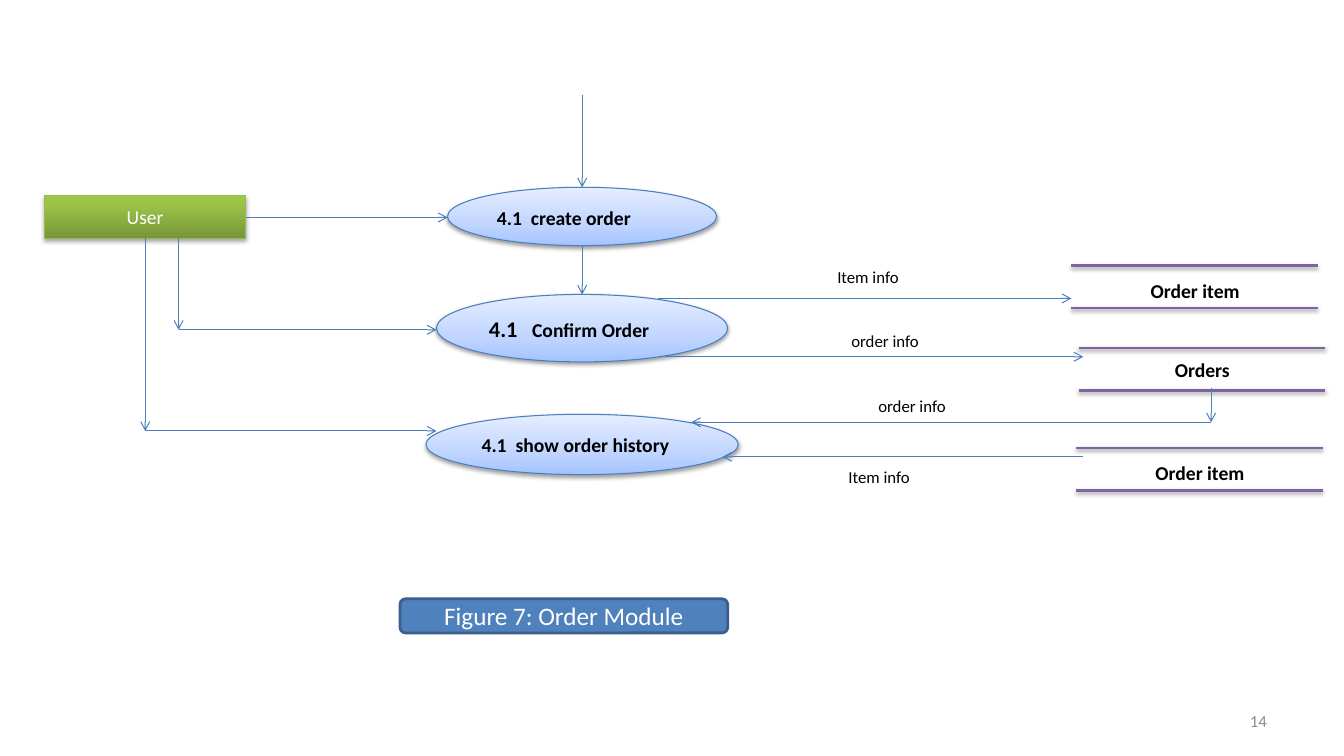
from itertools import pairwise

from lxml.etree import SubElement
from pptx import Presentation
from pptx.dml.color import RGBColor
from pptx.enum.shapes import MSO_CONNECTOR, MSO_SHAPE
from pptx.enum.text import MSO_ANCHOR, PP_ALIGN
from pptx.oxml.ns import qn
from pptx.util import Cm, Pt

HUES = {"white": "FFFFFF", "black": "000000", "blue": "4F81BD", "navy": "3A5F8C",
        "edge": "4B7EBC", "leaf": "98B955", "plum": "8064A2", "gray": "8C8C8C"}
GREEN = [(0, "779737"), (80, "9BC348"), (100, "9DC746")]
SKY = [(0, "A4C4FF"), (35, "BFD4FF"), (100, "E6EEFF")]

# All places and sizes below are in centimetres.
USER = (1.12, 4.93, 5.08, 1.07)
CAPTION = (10.08, 15.09, 8.26, 0.86)
NUMBER = (24.28, 17.65, 7.9, 1.02)

MID = 14.67  # shared centre of the process ellipses
STEPS = [  # top, width, height, runs of (text, size)
    (4.72, 6.78, 1.47, [("4.1", 14), (" ", 12), (" ", 16), ("create order", 14)]),
    (7.42, 7.34, 1.7, [("4.1 ", 16), (" ", 14), (" ", 16), ("Confirm Order", 14)]),
    (10.44, 7.87, 1.52, [("4.1  show order history", 14)]),
]

STORES = [  # left, top, label drop, name
    (27.0, 6.7, 0.63, "Order item"),
    (27.18, 8.77, 0.55, "Orders"),
    (27.12, 11.29, 0.63, "Order item"),
]
STORE_W, STORE_H, INDENT = 6.22, 1.06, 0.86

FLOWS = [  # corner points, an arrowhead at the end of each leg
    [(6.2, 5.48), (11.28, 5.48)],
    [(4.5, 5.99), (4.5, 8.31), (11, 8.31)],
    [(3.66, 5.99), (3.66, 10.86), (11, 10.86)],
    [(MID, 2.39), (MID, 4.72)],
    [(MID, 6.2), (MID, 7.42)],
    [(16.59, 7.52), (27, 7.52)],
    [(16.76, 8.99), (27.3, 8.99)],
    [(30.52, 9.78), (30.52, 10.64), (17.42, 10.64)],
    [(27.28, 11.51), (18.21, 11.51)],
]

NOTES = [(20.12, 6.76, "Item info"), (20.55, 8.38, "order info"),
         (21.23, 10.01, "order info"), (20.4, 11.79, "Item info")]
NOTE_W, TEXT_H = 3.51, 0.43


def color(name):
    """Turn a palette name into a colour."""
    return RGBColor.from_string(HUES[name])


def write(shape, runs, hue="black", align=PP_ALIGN.CENTER, bold=False):
    """Fill a shape with one paragraph of (text, size) runs."""
    frame = shape.text_frame
    frame.word_wrap = True
    frame.vertical_anchor = MSO_ANCHOR.MIDDLE
    para = frame.paragraphs[0]
    para.alignment = align
    for text, size in runs:
        run = para.add_run()
        run.text = text
        look = {"name": "Calibri", "size": Pt(size), "bold": bold}
        for key, value in look.items():
            setattr(run.font, key, value)
        run.font.color.rgb = color(hue)


def effect(item, alpha=0, dist=1.6):
    """Give an item an effect list, with a soft shadow when alpha is set."""
    root = item._element.spPr
    for old in root.findall(qn("a:effectLst")):
        root.remove(old)
    effects = SubElement(root, qn("a:effectLst"))
    if alpha:
        shade = SubElement(effects, qn("a:outerShdw"), blurRad=str(Pt(3.1)),
                           dist=str(Pt(dist)), dir="5400000", rotWithShape="0")
        tint = SubElement(shade, qn("a:srgbClr"), val=HUES["black"])
        SubElement(tint, qn("a:alpha"), val=str(alpha * 1000))


def blend(shape, stops):
    """Fill a shape with a gradient that runs from bottom to top."""
    shape.fill.gradient()
    shape.fill.gradient_angle = 90
    group = shape._element.spPr.find(qn("a:gradFill")).find(qn("a:gsLst"))
    for old in list(group):
        group.remove(old)
    for place, tone in stops:
        stop = SubElement(group, qn("a:gs"), pos=str(place * 1000))
        SubElement(stop, qn("a:srgbClr"), val=tone)


def block(kind, box, fill, edge, width):
    """Add a preset shape; fill is a palette name or gradient stops."""
    shape = slide.shapes.add_shape(kind, *map(Cm, box))
    shape.shadow.inherit = False
    if isinstance(fill, str):
        shape.fill.solid()
        shape.fill.fore_color.rgb = color(fill)
    else:
        blend(shape, fill)
    shape.line.color.rgb = color(edge)
    shape.line.width = Pt(width)
    return shape


def label(left, top, width, text, size, bold=False):
    """Add a small white box with centred text."""
    box = (left, top, width, TEXT_H)
    shape = block(MSO_SHAPE.RECTANGLE, box, "white", "white", 2)
    write(shape, [(text, size)], bold=bold)


def line(start, end, hue="edge", width=0.75):
    """Add a straight connector between two points."""
    link = slide.shapes.add_connector(MSO_CONNECTOR.STRAIGHT, *map(Cm, start + end))
    link.line.color.rgb = color(hue)
    link.line.width = Pt(width)
    effect(link)
    return link


deck = Presentation()
deck.slide_width, deck.slide_height = Cm(33.87), Cm(19.05)
slide = deck.slides.add_slide(deck.slide_layouts[6])

user = block(MSO_SHAPE.RECTANGLE, USER, GREEN, "leaf", 0.75)
effect(user, 35, 1.8)
write(user, [("User", 14)], "white")

for top, width, height, runs in STEPS:
    box = (MID - width / 2, top, width, height)
    step = block(MSO_SHAPE.OVAL, box, SKY, "edge", 0.75)
    effect(step, 38)
    write(step, runs, align=PP_ALIGN.LEFT, bold=True)

for left, top, drop, name in STORES:
    label(left + INDENT, top + drop - TEXT_H / 2, 4.52, name, 14, True)
    for level in (top, top + STORE_H):
        rule = line((left, level), (left + STORE_W, level), "plum", 2)
        effect(rule, 38)

for flow in FLOWS:
    for start, end in pairwise(flow):
        arrow = line(start, end)
        SubElement(arrow.line._get_or_add_ln(), qn("a:tailEnd"), type="arrow")

for left, top, text in NOTES:
    label(left, top, NOTE_W, text, 12)

caption = block(MSO_SHAPE.ROUNDED_RECTANGLE, CAPTION, "blue", "navy", 2)
write(caption, [("Figure 7: Order Module", 18)], "white")

number = slide.shapes.add_textbox(*map(Cm, NUMBER))
write(number, [("14", 12)], "gray", PP_ALIGN.RIGHT)

deck.save("out.pptx")
